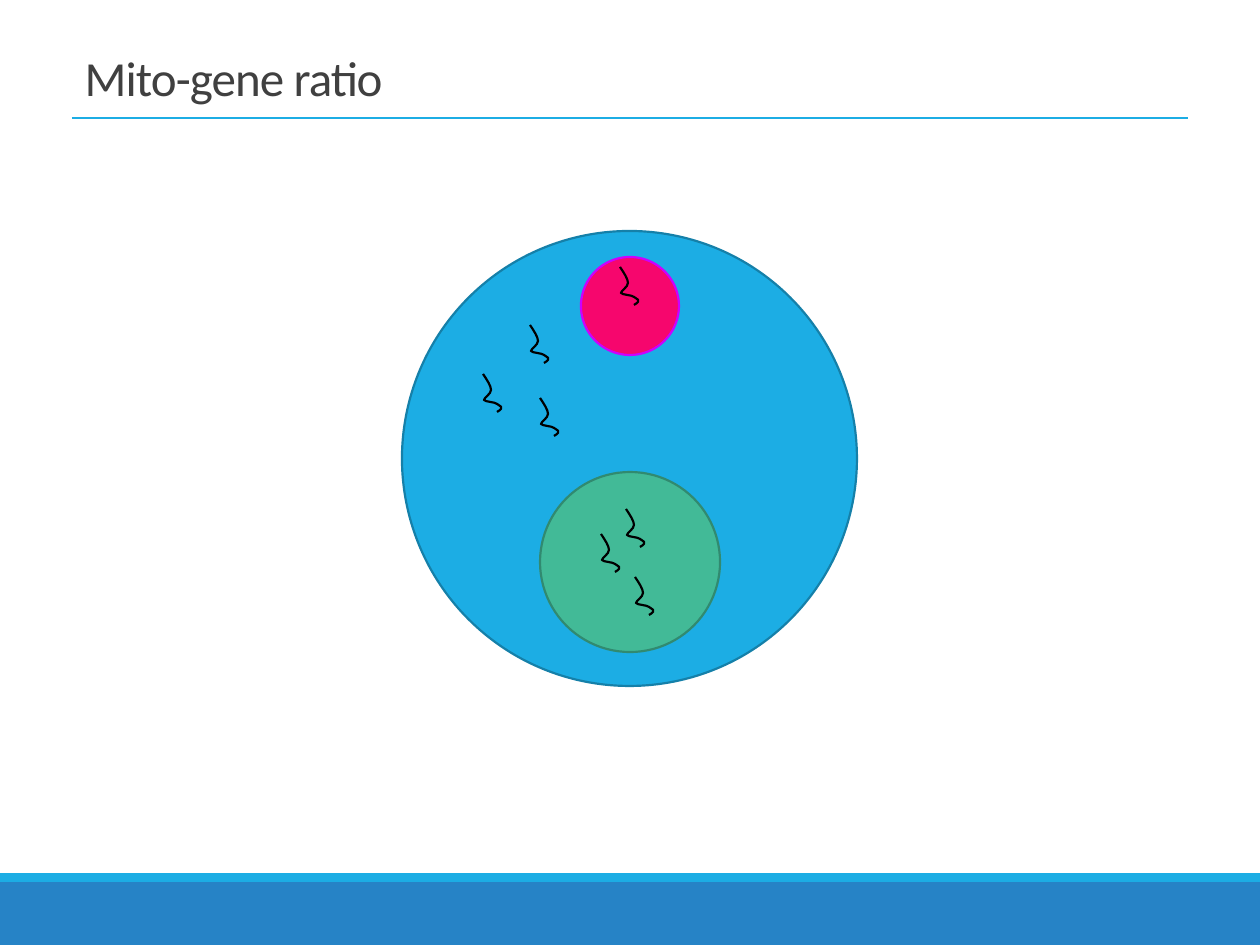
"""Build the mito-gene ratio slide: a cell, its compartments and their transcripts."""
from dataclasses import dataclass
from typing import Optional

from lxml import etree
from pptx import Presentation
from pptx.dml.color import RGBColor
from pptx.enum.shapes import MSO_CONNECTOR, MSO_SHAPE
from pptx.enum.text import MSO_ANCHOR, MSO_AUTO_SIZE, PP_ALIGN
from pptx.oxml.ns import qn
from pptx.util import Emu, Pt

RECTANGLE, ELLIPSE = MSO_SHAPE.RECTANGLE, MSO_SHAPE.OVAL
STRAIGHT = MSO_CONNECTOR.STRAIGHT
BOTTOM, LEFT, NO_AUTOFIT = MSO_ANCHOR.BOTTOM, PP_ALIGN.LEFT, MSO_AUTO_SIZE.NONE
PX_PER_INCH = 126
SLIDE_WIDTH, SLIDE_HEIGHT = 1260, 945
TITLE_ONLY = 5


@dataclass(frozen=True)
class Theme:
    """Colours, font and point sizes of the slide."""
    font: str = "Calibri"
    title_size: float = 28
    title_spacing: float = -0.5
    title_leading: float = 0.85
    rule_width: float = 1
    outline_width: float = 1.25
    text: str = "404040"
    accent: str = "1CADE4"
    band: str = "2683C6"
    cell_line: str = "1580A9"
    nucleus: str = "42BA97"
    nucleus_line: str = "318A70"
    mitochondrion: str = "F6066D"
    mitochondrion_line: str = "CC00FF"
    transcript: str = "000000"


@dataclass(frozen=True)
class Block:
    """A filled preset shape, measured in px."""
    kind: int
    left: int
    top: int
    width: int
    height: int
    fill: str
    line: Optional[str] = None


@dataclass(frozen=True)
class Point:
    """A position in px."""
    x: int
    y: int


THEME = Theme()
BANDS = (
    Block(RECTANGLE, 0, 882, SLIDE_WIDTH, 63, THEME.band),
    Block(RECTANGLE, 0, 873, SLIDE_WIDTH, 9, THEME.accent),
)
COMPARTMENTS = (
    Block(ELLIPSE, 402, 231, 455, 455, THEME.accent, THEME.cell_line),
    Block(ELLIPSE, 540, 472, 180, 180, THEME.nucleus, THEME.nucleus_line),
    Block(ELLIPSE, 581, 257, 98, 98, THEME.mitochondrion, THEME.mitochondrion_line),
)
TRANSCRIPTS = (
    Point(620, 267), Point(530, 325), Point(483, 374), Point(540, 398),
    Point(626, 509), Point(601, 534), Point(635, 577),
)
STRAND_SIZE = Point(19, 38)
STRAND_CURVES = (
    (Point(4, 6), Point(8, 12), Point(8, 16)),
    (Point(8, 20), Point(1, 24), Point(1, 26)),
    (Point(2, 28), Point(12, 28), Point(14, 30)),
    (Point(16, 32), Point(23, 33), Point(14, 38)),
)


def px(length: int) -> Emu:
    """Turn px into EMU."""
    return Emu(round(length * 914400 / PX_PER_INCH))


def color(value: str) -> RGBColor:
    """Turn a hex string into a colour."""
    return RGBColor.from_string(value)


def write_text(shape, text: str, *, size: float, fill: str, spacing: float,
               leading: float, anchor=BOTTOM, align=LEFT) -> None:
    """Fill a shape with one formatted paragraph."""
    frame = shape.text_frame
    frame.word_wrap = True
    frame.auto_size = NO_AUTOFIT
    frame.vertical_anchor = anchor
    paragraph = frame.paragraphs[0]
    paragraph.alignment = align
    paragraph.line_spacing = leading
    run = paragraph.add_run()
    run.text = text
    run.font.name = THEME.font
    run.font.size = Pt(size)
    run.font.color.rgb = color(fill)
    run._r.get_or_add_rPr().set("spc", str(round(spacing * 100)))


def set_line(shape, line: Optional[str], width: float) -> None:
    """Give a shape a solid outline, or none."""
    if line is None:
        shape.line.fill.background()
    else:
        shape.line.color.rgb = color(line)
        shape.line.width = Pt(width)


def draw_block(slide, block: Block) -> None:
    """Draw one filled preset shape."""
    shape = slide.shapes.add_shape(
        block.kind, px(block.left), px(block.top), px(block.width), px(block.height))
    shape.shadow.inherit = False
    shape.fill.solid()
    shape.fill.fore_color.rgb = color(block.fill)
    set_line(shape, block.line, THEME.outline_width)


def draw_rule(slide, start: Point, end: Point) -> None:
    """Draw the straight line under the title."""
    rule = slide.shapes.add_connector(
        STRAIGHT, px(start.x), px(start.y), px(end.x), px(end.y))
    set_line(rule, THEME.accent, THEME.rule_width)
    etree.SubElement(rule._element.spPr, qn("a:effectLst"))


def bend(strand) -> None:
    """Replace the straight segment of a strand with its cubic curves."""
    outline = next(strand._element.iter(qn("a:path")))
    outline.remove(outline.find(qn("a:lnTo")))
    for curve in STRAND_CURVES:
        segment = etree.SubElement(outline, qn("a:cubicBezTo"))
        for point in curve:
            etree.SubElement(segment, qn("a:pt"), x=str(px(point.x)), y=str(px(point.y)))


def draw_transcript(slide, start: Point) -> None:
    """Draw one wavy strand from its upper end."""
    builder = slide.shapes.build_freeform(px(start.x), px(start.y))
    corner = (px(start.x) + px(STRAND_SIZE.x), px(start.y) + px(STRAND_SIZE.y))
    builder.add_line_segments([corner], close=False)
    strand = builder.convert_to_shape()
    bend(strand)
    strand.shadow.inherit = False
    strand.fill.background()
    set_line(strand, THEME.transcript, THEME.outline_width)


def main() -> None:
    """Build and save the slide."""
    presentation = Presentation()
    presentation.slide_width, presentation.slide_height = px(SLIDE_WIDTH), px(SLIDE_HEIGHT)
    slide = presentation.slides.add_slide(presentation.slide_layouts[TITLE_ONLY])
    for band in BANDS:
        draw_block(slide, band)
    draw_rule(slide, Point(72, 118), Point(1188, 118))
    title = slide.shapes.title
    title.left, title.top, title.width, title.height = px(72), px(49), px(1116), px(64)
    write_text(title, "Mito-gene ratio", size=THEME.title_size, fill=THEME.text,
               spacing=THEME.title_spacing, leading=THEME.title_leading)
    for compartment in COMPARTMENTS:
        draw_block(slide, compartment)
    for start in TRANSCRIPTS:
        draw_transcript(slide, start)
    presentation.save("out.pptx")


if __name__ == "__main__":
    main()
